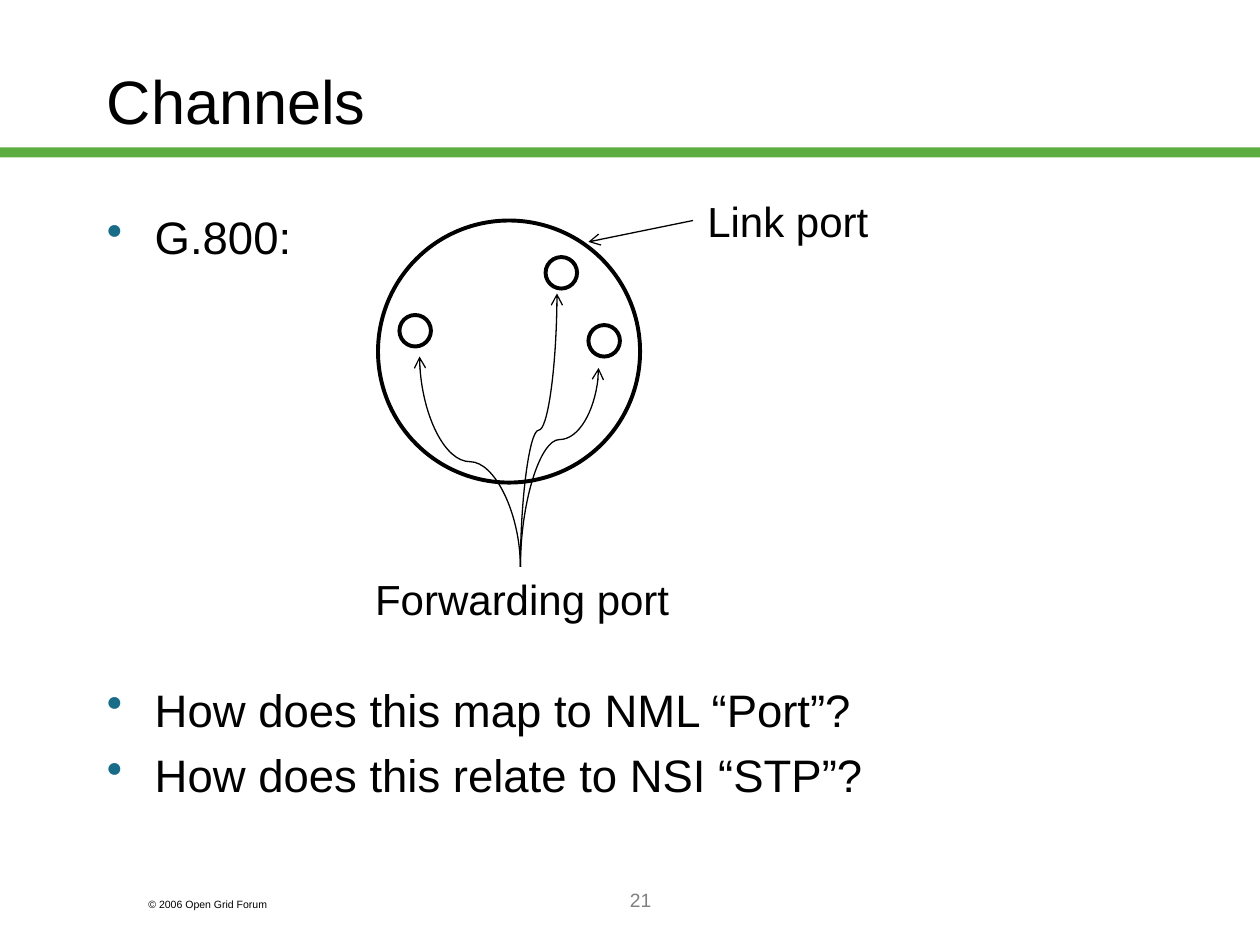
from lxml import etree
from pptx import Presentation
from pptx.dml.color import RGBColor
from pptx.enum.shapes import MSO_CONNECTOR, MSO_SHAPE
from pptx.enum.text import MSO_ANCHOR, PP_ALIGN
from pptx.oxml.ns import qn
from pptx.util import Inches, Pt

BLACK, GREY, WHITE, GREEN, TEAL = "000000", "808080", "FFFFFF", "5DAD41", "176D89"

# Text: paragraphs, (left, top, width, height), size, format values
TEXTS = [
    (["© 2006 Open Grid Forum"], (1.08, 7.08, 1.5, 0.2), 6, {}),
    (["Channels"], (0.75, 0.17, 8.5, 1.25), 35, {"anchor": MSO_ANCHOR.MIDDLE}),
    (["How does this map to NML “Port”?", "How does this relate to NSI “STP”?"],
     (0.75, 5.36, 8.5, 1.25), 26, {"bullet": True}),
    (["21"], (2.17, 7, 5.83, 0.5), 11, {"align": PP_ALIGN.CENTER, "color": GREY}),
    (["Link port"], (5.5, 1.5, 1.49, 0.5), 24, {"align": PP_ALIGN.RIGHT, "wrap": False}),
    (["Forwarding port"], (2.85, 4.5, 2.56, 0.5), 24,
     {"align": PP_ALIGN.RIGHT, "wrap": False}),
    (["G.800:"], (0.75, 1.61, 2, 0.83), 26, {"bullet": True}),
]

# Circles: left, top, diameter; the link port encloses the forwarding ports
CIRCLES = [(3, 1.75, 2.08), (4.67, 2.58, 0.25), (4.33, 2.04, 0.25), (3.17, 2.5, 0.25)]

# Arrows
LINK_ARROW = ((5.5, 1.75), (4.67, 1.92))
FORWARDING_START = (4.13, 4.5)
FORWARDING_ENDS = [((3.33, 2.83), 0.5), ((4.42, 2.33), 0.5), ((4.75, 2.92), 0.64)]


def color(value):
    return RGBColor.from_string(value)


def add_bullet(para):
    properties = para._p.get_or_add_pPr()
    properties.set("marL", str(Inches(0.38)))
    properties.set("indent", str(Inches(-0.38)))
    bullet_color = etree.SubElement(properties, qn("a:buClr"))
    etree.SubElement(bullet_color, qn("a:srgbClr")).set("val", TEAL)
    etree.SubElement(properties, qn("a:buChar")).set("char", "•")


def add_text(page, lines, place, size, style):
    frame = page.shapes.add_textbox(*map(Inches, place)).text_frame
    frame.word_wrap = style.get("wrap", True)
    frame.vertical_anchor = style.get("anchor", MSO_ANCHOR.TOP)
    for index, line in enumerate(lines):
        para = frame.add_paragraph() if index else frame.paragraphs[0]
        para.alignment = style.get("align", PP_ALIGN.LEFT)
        if index:
            para.space_before = Pt(6.5)
        if style.get("bullet"):
            add_bullet(para)
        span = para.add_run()
        span.text = line
        for name, value in {"name": "Arial", "size": Pt(size)}.items():
            setattr(span.font, name, value)
        span.font.color.rgb = color(style.get("color", BLACK))


def add_shape(page, kind, place, fill, line=None):
    shape = page.shapes.add_shape(kind, *map(Inches, place))
    shape.shadow.inherit = False
    shape.fill.solid()
    shape.fill.fore_color.rgb = color(fill)
    if line:
        shape.line.color.rgb = color(line)
        shape.line.width = Pt(2.25)
    else:
        shape.line.fill.background()


def add_arrow(page, kind, start, end):
    arrow = page.shapes.add_connector(kind, *map(Inches, (*start, *end)))
    arrow.line.color.rgb = color(BLACK)
    arrow.line.width = Pt(0.75)
    etree.SubElement(arrow.line._get_or_add_ln(), qn("a:tailEnd")).set("type", "arrow")
    etree.SubElement(arrow._element.spPr, qn("a:effectLst"))
    return arrow


def add_rising_curve(page, start, end, bend):
    """An S-curve that leaves and arrives vertically: a quarter-turned connector."""
    center_x, center_y = ((a + b) / 2 for a, b in zip(start, end))
    half_run = (start[1] - end[1]) / 2
    half_rise = abs(end[0] - start[0]) / 2
    side = 1 if end[0] > start[0] else -1
    arrow = add_arrow(page, MSO_CONNECTOR.CURVE,
                      (center_x + side * half_run, center_y + half_rise),
                      (center_x - side * half_run, center_y - half_rise))
    properties = arrow._element.spPr
    properties.find(qn("a:xfrm")).set("rot", str((90 if side > 0 else 270) * 60000))
    geometry = properties.find(qn("a:prstGeom"))
    guide = etree.SubElement(geometry.find(qn("a:avLst")), qn("a:gd"))
    guide.set("name", "adj1")
    guide.set("fmla", f"val {round(bend * 100000)}")


def main():
    deck = Presentation()
    deck.slide_width, deck.slide_height = Inches(10), Inches(7.5)
    page = deck.slides.add_slide(deck.slide_layouts[6])

    # Title rule and port circles
    add_shape(page, MSO_SHAPE.RECTANGLE, (0, 1.17, 10, 0.08), GREEN)
    for left, top, diameter in CIRCLES:
        add_shape(page, MSO_SHAPE.OVAL, (left, top, diameter, diameter), WHITE, BLACK)

    # Text
    for lines, place, size, style in TEXTS:
        add_text(page, lines, place, size, style)

    # Arrows from the labels to the ports
    for end, bend in FORWARDING_ENDS:
        add_rising_curve(page, FORWARDING_START, end, bend)
    add_arrow(page, MSO_CONNECTOR.STRAIGHT, *LINK_ARROW)

    deck.save("out.pptx")


if __name__ == "__main__":
    main()
